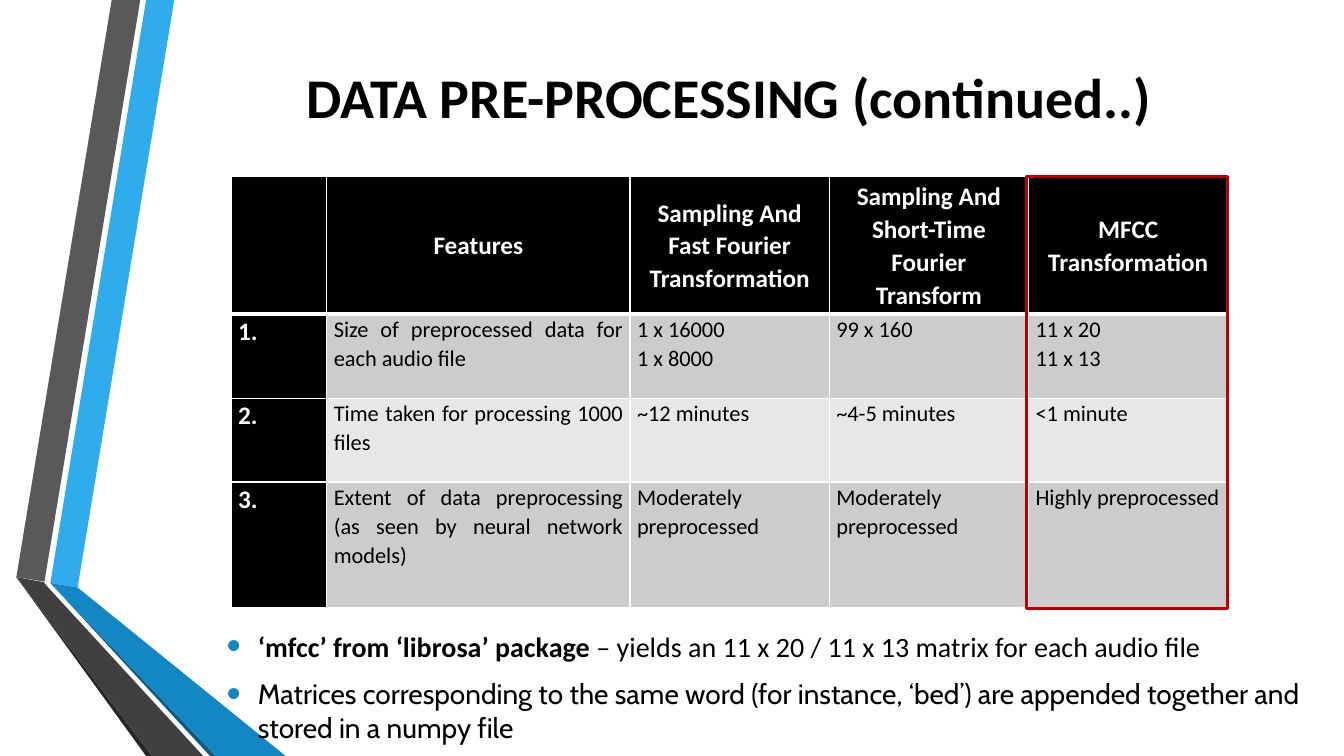
from collections import namedtuple

from lxml.etree import SubElement
from pptx import Presentation
from pptx.dml.color import RGBColor
from pptx.enum.shapes import MSO_SHAPE
from pptx.enum.text import MSO_ANCHOR as Anchor, PP_ALIGN as Align
from pptx.oxml.ns import qn
from pptx.util import Inches, Pt

COLORS = {
    "black": "000000", "white": "FFFFFF", "red": "C00000",
    "odd_row": "CCCCCC", "even_row": "E7E7E7",
    "sky": "30ACEC", "blue": "1287C3", "navy": "0C5A82",
    "gray": "595959", "charcoal": "404040", "shade": "262626",
}
# The slide is a grid of 160 columns by 90 rows, twelve to the inch
COLUMNS, ROWS = 160, 90
Box = namedtuple("Box", "left top width height")

RIBBONS = [
    ("sky", [(6, 69.4), (9.25, 69.95), (20.75, 0), (17.4, 0)]),
    ("gray", [(16.7, 0), (13.3, 0), (1.95, 68.7), (5.3, 69.25)]),
    ("shade", [(1.95, 68.7), (17.4, 90), (18.1, 90)]),
    ("navy", [(6, 69.4), (25, 90), (25.7, 90)]),
    ("blue", [(6, 69.4), (25.7, 90), (34, 90), (9.25, 69.95)]),
    ("charcoal", [(24.2, 90), (5.75, 69.95), (5.2, 69.3), (1.95, 68.7), (18.1, 90)]),
]
COMPARISON = [
    ["", "Features", "Sampling And Fast Fourier Transformation",
     "Sampling And Short-Time Fourier Transform", "MFCC Transformation"],
    ["1.", "Size of preprocessed data for each audio file",
     "1 x 16000\n1 x 8000", "99 x 160", "11 x 20\n11 x 13"],
    ["2.", "Time taken for processing 1000 files",
     "~12 minutes", "~4-5 minutes", "<1 minute"],
    ["3.", "Extent of data preprocessing (as seen by neural network models)",
     "Moderately preprocessed", "Moderately preprocessed", "Highly preprocessed"],
]
FEATURE_WIDTHS = [11.4, 36.1] + [23.73] * 3
FEATURE_HEIGHTS = [16.4, 10, 10, 15]
NOTES = [
    [("‘mfcc’ from ‘librosa’ package ", "Calibri", True),
     ("– yields an 11 x 20 / 11 x 13 matrix for each audio file", "Calibri", False)],
    [("Matrices corresponding to the same word (for instance, ‘bed’) are "
      "appended together and stored in a numpy file", "Cabin", False)],
]


def grid(units):
    return Inches(units / 12)


def place(box):
    return [grid(units) for units in box]


def rgb(name):
    return RGBColor.from_string(COLORS[name])


def style(run, size, color="black", bold=False, font="Calibri"):
    run.font.name, run.font.size, run.font.bold = font, Pt(size), bold
    run.font.color.rgb = rgb(color)


def add_ribbons(slide, box):
    for color, outline in RIBBONS:
        corners = [(grid(box.left + x), grid(box.top + y)) for x, y in outline]
        builder = slide.shapes.build_freeform(*corners[0])
        builder.add_line_segments(corners[1:], close=True)
        ribbon = builder.convert_to_shape()
        ribbon.shadow.inherit = False
        ribbon.fill.solid()
        ribbon.fill.fore_color.rgb = rgb(color)
        ribbon.line.fill.background()


def add_title(slide, box):
    title = slide.shapes.add_textbox(*place(box)).text_frame
    title.word_wrap = True
    title.vertical_anchor = Anchor.MIDDLE
    title.text = "DATA PRE-PROCESSING (continued..)"
    heading = title.paragraphs[0]
    heading.alignment = Align.CENTER
    style(heading.runs[0], 40, bold=True)


def add_borders(cell, row):
    widths = {"L": 1, "R": 1, "T": 3 if row == 1 else 1, "B": 3 if row == 0 else 1}
    for side, width in widths.items():
        border = SubElement(cell._tc.get_or_add_tcPr(), qn(f"a:ln{side}"), w=str(Pt(width)))
        SubElement(SubElement(border, qn("a:solidFill")), qn("a:srgbClr"), val=COLORS["white"])


def fill_cell(cell, text, row, column):
    header, label = row == 0, row == 0 or column == 0
    add_borders(cell, row)
    cell.fill.solid()
    cell.fill.fore_color.rgb = rgb("black" if label else "odd_row" if row % 2 else "even_row")
    cell.margin_left = cell.margin_right = Inches(0.07)
    cell.margin_top = cell.margin_bottom = 0
    cell.vertical_anchor = Anchor.MIDDLE if header else Anchor.TOP
    cell.text_frame.text = text
    for paragraph in cell.text_frame.paragraphs:
        paragraph.alignment = Align.CENTER if header else Align.JUSTIFY
        paragraph.line_spacing = 1.07
        for run in paragraph.runs:
            style(run, 18 if label else 16, "white" if label else "black", label)


def add_comparison(slide, box):
    comparison = slide.shapes.add_table(
        len(COMPARISON), len(COMPARISON[0]), *place(box)).table
    for column, width in zip(comparison.columns, FEATURE_WIDTHS):
        column.width = grid(width)
    for row, height in zip(comparison.rows, FEATURE_HEIGHTS):
        row.height = grid(height)
    for row, texts in enumerate(COMPARISON):
        for column, text in enumerate(texts):
            fill_cell(comparison.cell(row, column), text, row, column)

    # Frame around the chosen method, the last column
    chosen = Box(box.left + box.width - 24, box.top, 23.9, box.height)
    frame = slide.shapes.add_shape(MSO_SHAPE.RECTANGLE, *place(chosen))
    frame.shadow.inherit = False
    frame.fill.background()
    frame.line.color.rgb = rgb("red")
    frame.line.width = Pt(2.25)


def add_bullet(paragraph):
    properties = paragraph._p.get_or_add_pPr()
    properties.set("marL", str(Inches(0.31)))
    properties.set("indent", str(-Inches(0.31)))
    SubElement(SubElement(properties, qn("a:buClr")), qn("a:srgbClr"), val=COLORS["blue"])
    SubElement(properties, qn("a:buSzPct"), val="145000")
    SubElement(properties, qn("a:buFont"), typeface="Arial")
    SubElement(properties, qn("a:buChar"), char="•")


def add_notes(slide, box):
    notes = slide.shapes.add_textbox(*place(box)).text_frame
    notes.word_wrap = True
    for index, parts in enumerate(NOTES):
        note = notes.add_paragraph() if index else notes.paragraphs[0]
        note.space_before = Pt(4 if index else 0)
        note.space_after = Pt(6)
        add_bullet(note)
        for text, font, bold in parts:
            run = note.add_run()
            run.text = text
            style(run, 20, bold=bold, font=font)


def build_slide(presentation):
    slide = presentation.slides.add_slide(presentation.slide_layouts[6])
    add_ribbons(slide, Box(0, 0, 34, ROWS))
    add_title(slide, Box(21, 0, 131.5, 23))
    add_comparison(slide, Box(27.5, 21, sum(FEATURE_WIDTHS), sum(FEATURE_HEIGHTS)))
    add_notes(slide, Box(25.8, 74.3, 131.5, 15))


presentation = Presentation()
presentation.slide_width, presentation.slide_height = grid(COLUMNS), grid(ROWS)
build_slide(presentation)
presentation.save("out.pptx")
